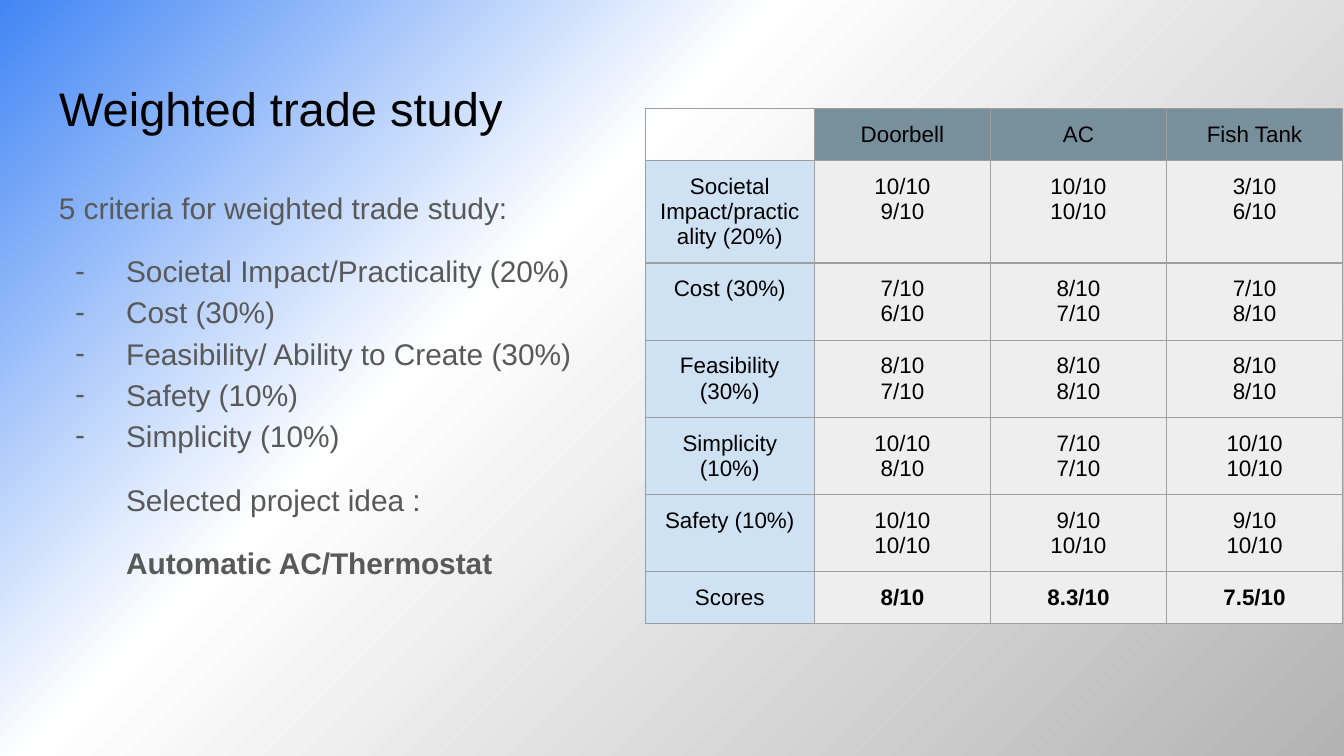
"""Build the weighted trade study slide with its criteria list and scoring table."""
import copy

import lxml.etree
import pptx
import pptx.dml.color
import pptx.enum.text
import pptx.oxml.ns
import pptx.util

Inches = pptx.util.Inches
Pt = pptx.util.Pt
qn = pptx.oxml.ns.qn
COLORS = {
    "black": "000000", "body": "595959", "border": "9E9E9E",
    "header": "78909C", "criterion": "CFE2F3", "score": "EEEEEE",
}
BACKGROUND_STOPS = [(0, "4285F4"), (0.37, "FFFFFF"), (1, "B3B3B3")]
CRITERIA = [
    "Societal Impact/Practicality (20%)", "Cost (30%)",
    "Feasibility/ Ability to Create (30%)", "Safety (10%)", "Simplicity (10%)",
]
TABLE_ROWS = [
    ["", "Doorbell", "AC", "Fish Tank"],
    ["Societal Impact/practicality (20%)", "10/10\n9/10", "10/10\n10/10", "3/10\n6/10"],
    ["Cost (30%)", "7/10\n6/10", "8/10\n7/10", "7/10\n8/10"],
    ["Feasibility (30%)", "8/10\n7/10", "8/10\n8/10", "8/10\n8/10"],
    ["Simplicity (10%)", "10/10\n8/10", "7/10\n7/10", "10/10\n10/10"],
    ["Safety (10%)", "10/10\n10/10", "9/10\n10/10", "9/10\n10/10"],
    ["Scores", "8/10", "8.3/10", "7.5/10"],
]
COLUMN_WIDTHS = [1.26, 1.31, 1.31, 1.31]
ROW_HEIGHTS = [0.38, 0.76, 0.57, 0.57, 0.57, 0.57, 0.38]


def format_font(font, size, color, bold=False):
    font.name = "Arial"
    font.size = Pt(size)
    font.bold = bold
    font.color.rgb = pptx.dml.color.RGBColor.from_string(COLORS[color])


def format_frame(frame):
    frame.word_wrap = True
    frame.auto_size = pptx.enum.text.MSO_AUTO_SIZE.NONE
    frame.vertical_anchor = pptx.enum.text.MSO_ANCHOR.TOP
    frame.margin_left = frame.margin_right = Inches(0.1)
    frame.margin_top = frame.margin_bottom = Inches(0.1)


presentation = pptx.Presentation()
presentation.slide_width = Inches(10)
presentation.slide_height = Inches(10) * 9 // 16
slide = presentation.slides.add_slide(presentation.slide_layouts[5])

background = slide.background.fill
background.gradient()
background.gradient_angle = 315
stop_list = slide.background._cSld.find(".//" + qn("a:gsLst"))
stop_list.append(copy.deepcopy(stop_list[0]))
for stop, (position, color) in zip(background.gradient_stops, BACKGROUND_STOPS):
    stop.position = position
    stop.color.rgb = pptx.dml.color.RGBColor.from_string(color)

title = slide.shapes.title
title.left, title.top = Inches(0.34), Inches(0.49)
title.width, title.height = Inches(9.32), Inches(0.63)
format_frame(title.text_frame)
title.text_frame.text = "Weighted trade study"
title_paragraph = title.text_frame.paragraphs[0]
title_paragraph.alignment = pptx.enum.text.PP_ALIGN.LEFT
format_font(title_paragraph.runs[0].font, 25.2, "black")

body = slide.shapes.add_textbox(Inches(0.34), Inches(1.27), Inches(9.32), Inches(3.74))
format_frame(body.text_frame)
intro = "5 criteria for weighted trade study:"
selection = ["Selected project idea :", "Automatic AC/Thermostat"]
body.text_frame.text = "\n".join([intro] + CRITERIA + selection)
for paragraph in body.text_frame.paragraphs:
    properties = paragraph._p.get_or_add_pPr()
    if paragraph.text in CRITERIA:
        properties.set("marL", str(Inches(0.5)))
        properties.set("indent", str(Inches(-0.38)))
        bullet_color = lxml.etree.SubElement(properties, qn("a:buClr"))
        lxml.etree.SubElement(bullet_color, qn("a:srgbClr"), val=COLORS["body"])
        lxml.etree.SubElement(properties, qn("a:buFont"), typeface="Arial")
        lxml.etree.SubElement(properties, qn("a:buChar"), char="-")
    elif paragraph.text in selection:
        properties.set("indent", str(Inches(0.5)))
    paragraph.line_spacing = 1.15
    if paragraph.text in [CRITERIA[0]] + selection:
        paragraph.space_before = Pt(12)
    format_font(paragraph.runs[0].font, 16, "body", paragraph.text == selection[-1])
paragraph.space_after = Pt(12)

table = slide.shapes.add_table(
    len(TABLE_ROWS), len(COLUMN_WIDTHS), Inches(4.8), Inches(0.81),
    Inches(sum(COLUMN_WIDTHS)), Inches(sum(ROW_HEIGHTS)),
).table
table.first_row = table.horz_banding = False
for column, width in zip(table.columns, COLUMN_WIDTHS):
    column.width = Inches(width)
for row, height in zip(table.rows, ROW_HEIGHTS):
    row.height = Inches(height)

for row_index, texts in enumerate(TABLE_ROWS):
    for column_index, text in enumerate(texts):
        cell = table.cell(row_index, column_index)
        cell.margin_left = cell.margin_right = Inches(0.1)
        cell.margin_top = cell.margin_bottom = Inches(0.1)
        cell_properties = cell._tc.get_or_add_tcPr()
        for side in ("a:lnL", "a:lnR", "a:lnT", "a:lnB"):
            border = lxml.etree.SubElement(cell_properties, qn(side), w=str(Pt(0.75)))
            border_fill = lxml.etree.SubElement(border, qn("a:solidFill"))
            lxml.etree.SubElement(border_fill, qn("a:srgbClr"), val=COLORS["border"])
        if not text:
            cell.fill.background()
            end_properties = cell.text_frame.paragraphs[0]._p.get_or_add_endParaRPr()
            end_properties.set("sz", "1200")
            lxml.etree.SubElement(end_properties, qn("a:latin"), typeface="Arial")
            continue
        fill = "header" if row_index == 0 else "criterion" if column_index == 0 else "score"
        cell.fill.solid()
        cell.fill.fore_color.rgb = pptx.dml.color.RGBColor.from_string(COLORS[fill])
        cell.text_frame.text = text
        is_total = row_index == len(TABLE_ROWS) - 1 and column_index > 0
        for paragraph in cell.text_frame.paragraphs:
            paragraph.alignment = pptx.enum.text.PP_ALIGN.CENTER
            format_font(paragraph.runs[0].font, 12, "black", is_total)

presentation.save("out.pptx")
